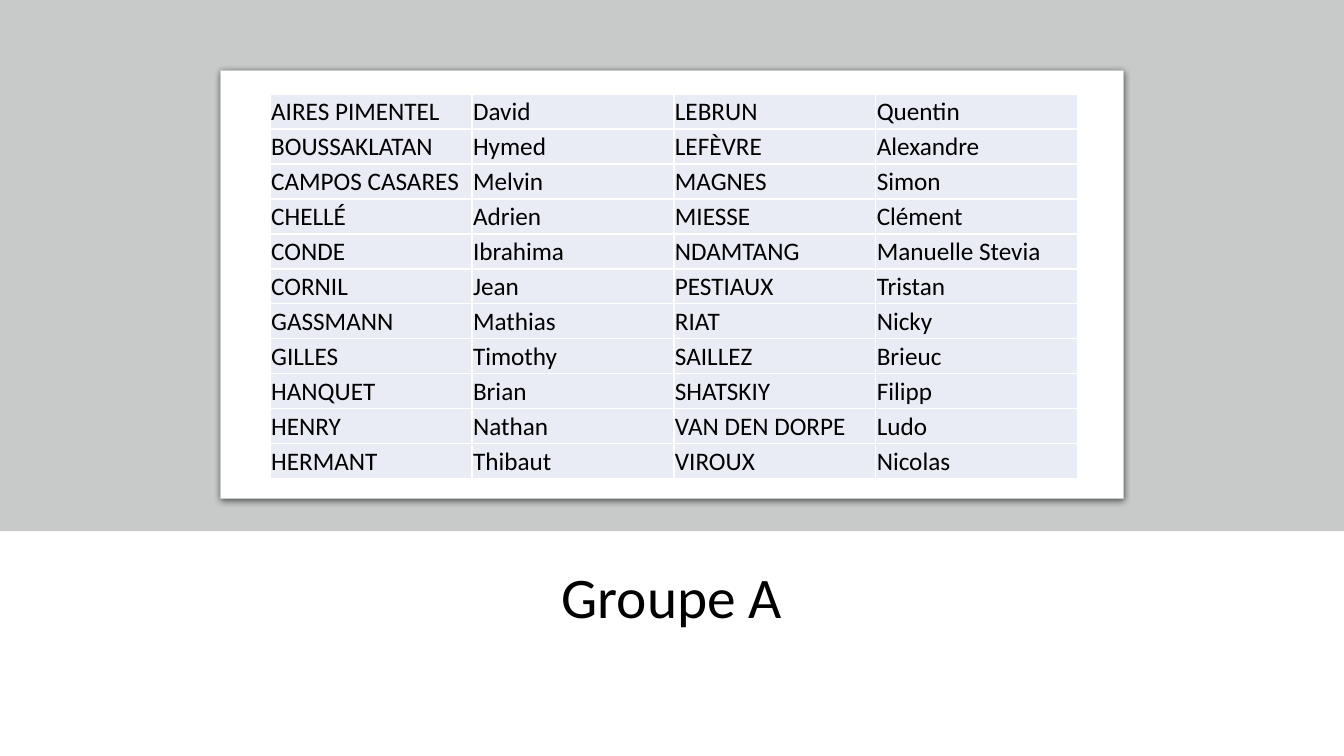
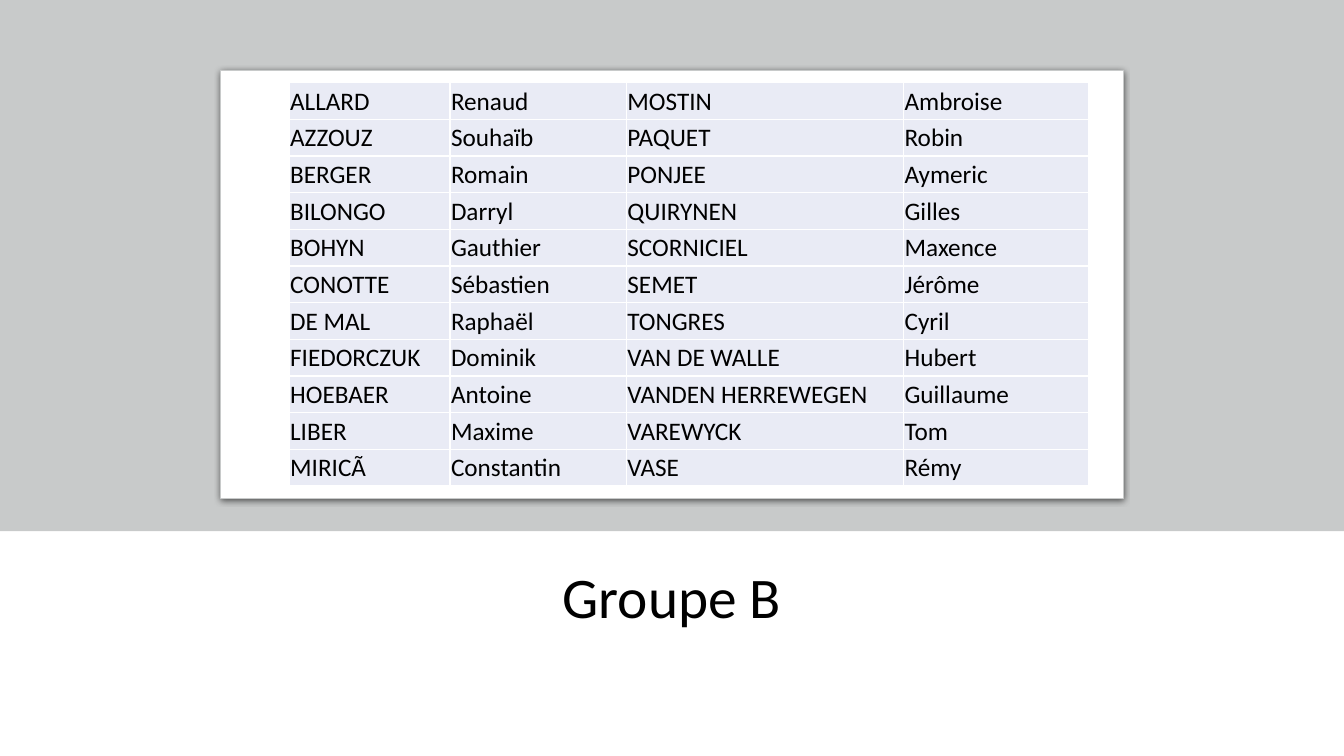
"""Build the two class-group slides, each a name table on a card above its title."""
from lxml import etree
from pptx import Presentation
from pptx.dml.color import RGBColor
from pptx.enum import shapes, text
from pptx.oxml.ns import qn
from pptx.util import Pt

COLORS = {"band": "C8CACA", "card": "FFFFFF", "cell": "E9EBF5", "border": "FFFFFF",
          "text": "000000", "shadow": "000000"}
FONT = "Calibri"
SLIDE_W, SLIDE_H = 960, 540
BAND_H = 379.4
CARD_W, CARD_H, CARD_TOP = 644.4, 305.4, 50.4
TITLE_W, TITLE_H, TITLE_TOP = 859, 52.6, 402.4

GROUPS = [
    {
        "title": "Groupe A", "left": 193, "top": 67.2,
        "widths": [144.2] * 4, "row_height": 25,
        "names": [
            ("AIRES PIMENTEL", "David", "LEBRUN", "Quentin"),
            ("BOUSSAKLATAN", "Hymed", "LEFÈVRE", "Alexandre"),
            ("CAMPOS CASARES", "Melvin", "MAGNES", "Simon"),
            ("CHELLÉ", "Adrien", "MIESSE", "Clément"),
            ("CONDE", "Ibrahima", "NDAMTANG", "Manuelle Stevia"),
            ("CORNIL", "Jean", "PESTIAUX", "Tristan"),
            ("GASSMANN", "Mathias", "RIAT", "Nicky"),
            ("GILLES", "Timothy", "SAILLEZ", "Brieuc"),
            ("HANQUET", "Brian", "SHATSKIY", "Filipp"),
            ("HENRY", "Nathan", "VAN DEN DORPE", "Ludo"),
            ("HERMANT", "Thibaut", "VIROUX", "Nicolas"),
        ],
    },
    {
        "title": "Groupe B", "left": 206.6, "top": 59,
        "widths": [114.9, 126, 198, 132], "row_height": 26.2,
        "names": [
            ("ALLARD", "Renaud", "MOSTIN", "Ambroise"),
            ("AZZOUZ", "Souhaïb", "PAQUET", "Robin"),
            ("BERGER", "Romain", "PONJEE", "Aymeric"),
            ("BILONGO", "Darryl", "QUIRYNEN", "Gilles"),
            ("BOHYN", "Gauthier", "SCORNICIEL", "Maxence"),
            ("CONOTTE", "Sébastien", "SEMET", "Jérôme"),
            ("DE MAL", "Raphaël", "TONGRES", "Cyril"),
            ("FIEDORCZUK", "Dominik", "VAN DE WALLE", "Hubert"),
            ("HOEBAER", "Antoine", "VANDEN HERREWEGEN", "Guillaume"),
            ("LIBER", "Maxime", "VAREWYCK", "Tom"),
            ("MIRICÃ", "Constantin", "VASE", "Rémy"),
        ],
    },
]


def rgb(name):
    return RGBColor.from_string(COLORS[name])


def write(frame, words, size=18, color="text", align=text.PP_ALIGN.LEFT, spacing=None):
    paragraph = frame.paragraphs[0]
    paragraph.alignment = align
    paragraph.line_spacing = spacing
    run = paragraph.add_run()
    run.text = words
    run.font.name = FONT
    run.font.size = Pt(size)
    run.font.color.rgb = rgb(color)


def add_panel(slide, preset, left, top, width, height, fill, outline=None):
    panel = slide.shapes.add_shape(preset, Pt(left), Pt(top), Pt(width), Pt(height))
    panel.shadow.inherit = False
    panel.fill.solid()
    panel.fill.fore_color.rgb = rgb(fill)
    if outline:
        panel.line.color.rgb = rgb(outline)
        panel.line.width = Pt(0.75)
    else:
        panel.line.fill.background()
    return panel


def add_solid(parent, color):
    solid = etree.SubElement(parent, qn("a:solidFill"))
    etree.SubElement(solid, qn("a:srgbClr"), val=COLORS[color])


def drop_shadow(panel):
    effects = panel._element.spPr.find(qn("a:effectLst"))
    outer = etree.SubElement(effects, qn("a:outerShdw"), blurRad=str(Pt(4.5)),
                             dist=str(Pt(1.5)), dir="5400000", algn="ctr", rotWithShape="0")
    tint = etree.SubElement(outer, qn("a:srgbClr"), val=COLORS["shadow"])
    etree.SubElement(tint, qn("a:alpha"), val="63000")


def add_card(slide):
    card = add_panel(slide, shapes.MSO_SHAPE.ROUNDED_RECTANGLE, (SLIDE_W - CARD_W) / 2,
                     CARD_TOP, CARD_W, CARD_H, "card", outline="band")
    card.adjustments[0] = 0
    drop_shadow(card)


def add_title(slide, words):
    title = slide.shapes.add_textbox(Pt((SLIDE_W - TITLE_W) / 2), Pt(TITLE_TOP),
                                     Pt(TITLE_W), Pt(TITLE_H))
    title.text_frame.word_wrap = True
    title.text_frame.vertical_anchor = text.MSO_ANCHOR.MIDDLE
    write(title.text_frame, words, size=41, align=text.PP_ALIGN.CENTER, spacing=0.9)


def fill_cell(cell, words):
    cell.margin_left = cell.margin_right = cell.margin_top = Pt(0.7)
    cell.margin_bottom = 0
    cell.vertical_anchor = text.MSO_ANCHOR.MIDDLE
    write(cell.text_frame, words)
    properties = cell._tc.get_or_add_tcPr()
    for side in ("a:lnL", "a:lnR", "a:lnT", "a:lnB"):
        add_solid(etree.SubElement(properties, qn(side), w=str(Pt(1))), "border")
    cell.fill.solid()
    cell.fill.fore_color.rgb = rgb("cell")


def add_name_table(slide, names, left, top, widths, row_height):
    table = slide.shapes.add_table(len(names), len(widths), Pt(left), Pt(top),
                                   Pt(sum(widths)), Pt(row_height * len(names))).table
    table.first_row = table.horz_banding = False
    for column, width in zip(table.columns, widths):
        column.width = Pt(width)
    for row, entries in zip(table.rows, names):
        row.height = Pt(row_height)
        for cell, words in zip(row.cells, entries):
            fill_cell(cell, words)


def add_group_slide(deck, title, **roster):
    slide = deck.slides.add_slide(deck.slide_layouts[6])
    add_title(slide, title)
    add_panel(slide, shapes.MSO_SHAPE.RECTANGLE, 0, 0, SLIDE_W, BAND_H, "band")
    add_card(slide)
    add_name_table(slide, **roster)


def main():
    deck = Presentation()
    deck.slide_width, deck.slide_height = Pt(SLIDE_W), Pt(SLIDE_H)
    for group in GROUPS:
        add_group_slide(deck, **group)
    deck.save("out.pptx")


if __name__ == "__main__":
    main()
